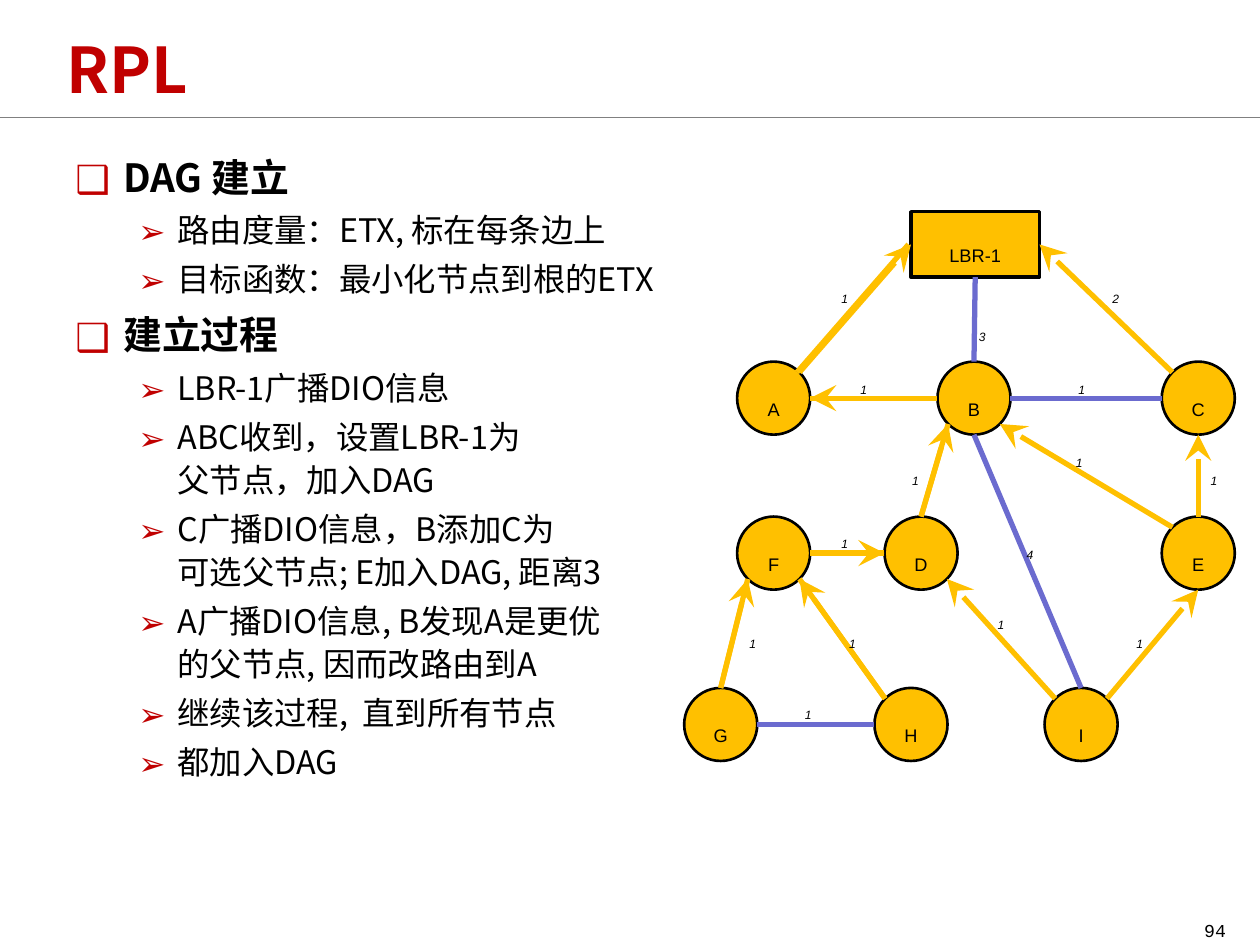
from dataclasses import dataclass

from lxml import etree
from pptx import Presentation
from pptx.dml.color import RGBColor
from pptx.enum import shapes, text
from pptx.oxml import ns
from pptx.util import Inches, Pt


@dataclass(frozen=True)
class Theme:
    red: str = "C00000"
    black: str = "000000"
    amber: str = "FFC000"
    violet: str = "6B6BCF"
    rule: str = "808080"
    sans: str = "Noto Sans CJK SC"
    label: str = "Arial"
    mono: str = "Courier New"
    title: float = 36
    heading: float = 22.2
    item: float = 18.5
    node: float = 18
    weight: float = 12


T = Theme()
RADIUS = 0.29
DIAGONAL = RADIUS * 0.5 ** 0.5
SITES = {"N": (0, -RADIUS), "S": (0, RADIUS), "W": (-RADIUS, 0), "E": (RADIUS, 0),
         "NW": (-DIAGONAL, -DIAGONAL), "NE": (DIAGONAL, -DIAGONAL),
         "SW": (-DIAGONAL, DIAGONAL), "SE": (DIAGONAL, DIAGONAL)}
ROOT = "LBR-1"
ROOT_BOX = (1.8, 0, 1.02, 0.52)
ROOT_SITES = {"W": 1, "S": 2, "E": 3}
NODE_ROWS = [
    (1.48, {"A": 0.71, "B": 2.3, "C": 4.08}),
    (2.71, {"F": 0.71, "D": 1.88, "E": 4.08}),
    (4.07, {"G": 0.29, "H": 1.8, "I": 3.15}),
]
# parent, its side, child, its side, weight, weight position
PLAIN_LINKS = [
    (ROOT, "S", "B", "N", "3", (2.24, 0.77)),
    ("B", "E", "C", "W", "1", (3.03, 1.19)),
    ("B", "S", "I", "N", "4", (2.62, 2.5)),
    ("G", "E", "H", "W", "1", (0.86, 3.77)),
]
ROUTES = [
    (ROOT, "E", "C", "NW", "2", (3.3, 0.47)),
    ("E", "S", "I", "NE", "1", (3.49, 3.21)),
    ("C", "S", "E", "N", "1", (4.08, 1.92)),
    ("B", "SE", "E", "NW", "1", (3.01, 1.77)),
    ("D", "SE", "I", "NW", "1", (2.39, 3.06)),
]
# routes whose shaft runs on through the arrowhead
SOLID_ROUTES = [
    (ROOT, "W", "A", "NE", "1", (1.15, 0.47)),
    ("A", "E", "B", "W", "1", (1.3, 1.19)),
    ("F", "SW", "G", "N", "1", (0.42, 3.21)),
    ("F", "SE", "H", "NW", "1", (1.21, 3.21)),
    ("B", "SW", "D", "N", "1", (1.71, 1.92)),
    ("D", "W", "F", "E", "1", (1.15, 2.42)),
]
OUTLINE = [
    ("DAG 建立", ["路由度量：ETX, 标在每条边上", "目标函数：最小化节点到根的ETX"]),
    ("建立过程", ["LBR-1广播DIO信息",
              "ABC收到，设置LBR-1为\n父节点，加入DAG",
              "C广播DIO信息，B添加C为\n可选父节点; E加入DAG, 距离3",
              "A广播DIO信息, B发现A是更优\n的父节点, 因而改路由到A",
              "继续该过程,  直到所有节点",
              "都加入DAG"]),
]


def rgb(color):
    return RGBColor.from_string(color)


def add_run(p, words, size, face, color=T.black, bold=False, italic=False, sub=False):
    r = p.add_run()
    r.text = words
    f = r.font
    f.size, f.name, f.bold, f.italic = Pt(size), face, bold, italic
    f.color.rgb = rgb(color)
    rPr = r._r.get_or_add_rPr()
    etree.SubElement(rPr, ns.qn("a:ea")).set("typeface", face)
    if sub:
        rPr.set("baseline", "-25000")


def add_textbox(s, box, wrap=True, anchor=text.MSO_ANCHOR.TOP):
    tf = s.shapes.add_textbox(*map(Inches, box)).text_frame
    tf.word_wrap, tf.vertical_anchor = wrap, anchor
    return tf


def add_line(s, start, end, color, width):
    c = s.shapes.add_connector(shapes.MSO_CONNECTOR.STRAIGHT,
                               *map(Inches, (*start, *end)))
    c.line.color.rgb, c.line.width = rgb(color), Pt(width)
    etree.SubElement(c._element.spPr, ns.qn("a:effectLst"))
    return c


def add_header(s, box):
    left, top, width, height = box
    add_line(s, (0, 0.93), (10, 0.93), T.rule, 0.25)
    tf = add_textbox(s, (left, top, width, height), anchor=text.MSO_ANCHOR.MIDDLE)
    add_run(tf.paragraphs[0], "RPL", T.title, T.sans, T.red, bold=True)


def set_bullet(p, char, margin, hang):
    pPr = p._p.get_or_add_pPr()
    pPr.set("marL", str(Inches(margin)))
    pPr.set("indent", str(-Inches(hang)))
    color = etree.SubElement(pPr, ns.qn("a:buClr"))
    etree.SubElement(color, ns.qn("a:srgbClr")).set("val", T.red)
    etree.SubElement(pPr, ns.qn("a:buFont")).set("typeface", T.sans)
    etree.SubElement(pPr, ns.qn("a:buChar")).set("char", char)


def add_outline(s, box):
    tf = add_textbox(s, box)
    rows = [row for heading, items in OUTLINE
            for row in [(heading, 0)] + [(item, 1) for item in items]]
    for i, (words, level) in enumerate(rows):
        p = tf.add_paragraph() if i else tf.paragraphs[0]
        size = T.item if level else T.heading
        p.level = level
        set_bullet(p, *(("➢", 0.81, 0.31) if level else ("❑", 0.38, 0.38)))
        p.line_spacing = 1.1
        p.space_before = Pt(size * 0.2 if i else 0)
        for n, line in enumerate(words.split("\n")):
            if n:
                p.add_line_break()
            add_run(p, line, size, T.sans, bold=not level)


def add_node(s, kind, box, name, border):
    sp = s.shapes.add_shape(kind, *map(Inches, box))
    sp.shadow.inherit = False
    sp.fill.solid()
    sp.fill.fore_color.rgb = rgb(T.amber)
    sp.line.color.rgb, sp.line.width = rgb(T.black), Pt(border)
    tf = sp.text_frame
    tf.word_wrap, tf.vertical_anchor = False, text.MSO_ANCHOR.MIDDLE
    p = tf.paragraphs[0]
    p.alignment = text.PP_ALIGN.CENTER
    add_run(p, name, T.node, T.label, sub=True)
    return sp


def add_graph(s, left, top):
    """Draw the routing graph with its top left corner at the given point."""
    x, y, w, h = ROOT_BOX
    x, y = left + x, top + y
    root = add_node(s, shapes.MSO_SHAPE.RECTANGLE, (x, y, w, h), ROOT, 2)
    root_points = {"W": (x, y + h / 2), "S": (x + w / 2, y + h), "E": (x + w, y + h / 2)}
    centres = {name: (left + cx, top + cy)
               for cy, row in NODE_ROWS for name, cx in row.items()}
    for name, (cx, cy) in centres.items():
        add_node(s, shapes.MSO_SHAPE.OVAL,
                 (cx - RADIUS, cy - RADIUS, 2 * RADIUS, 2 * RADIUS), name, 1.5)

    def point(name, side):
        if name == ROOT:
            return root_points[side]
        (cx, cy), (dx, dy) = centres[name], SITES[side]
        return cx + dx, cy + dy

    for links, color, arrow, solid in ((PLAIN_LINKS, T.violet, False, False),
                                       (ROUTES, T.amber, True, False),
                                       (SOLID_ROUTES, T.amber, True, True)):
        for parent, side, child, child_side, weight, (wx, wy) in links:
            start, end = point(parent, side), point(child, child_side)
            c = add_line(s, start, end, color, 3)
            if parent == ROOT:
                c.begin_connect(root, ROOT_SITES[side])
            if arrow:
                head = etree.SubElement(c.line._get_or_add_ln(), ns.qn("a:headEnd"))
                for key, value in (("type", "stealth"), ("w", "lg"), ("len", "lg")):
                    head.set(key, value)
            if solid:
                shift = 0.02 if parent == ROOT else 0
                add_line(s, (start[0] - shift, start[1]), (end[0] - shift, end[1]), color, 3)
            tf = add_textbox(s, (left + wx, top + wy, 0.3, 0.3), wrap=False)
            add_run(tf.paragraphs[0], weight, T.weight, T.label, italic=True, sub=True)


def add_page_number(s, box):
    tf = add_textbox(s, box, anchor=text.MSO_ANCHOR.MIDDLE)
    p = tf.paragraphs[0]
    p.alignment = text.PP_ALIGN.RIGHT
    add_run(p, "94", T.node, T.mono, sub=True)


def main():
    prs = Presentation()
    prs.slide_width, prs.slide_height = Inches(10), Inches(7.5)
    s = prs.slides.add_slide(prs.slide_layouts[6])
    add_header(s, (0.43, 0.04, 9.01, 1))
    add_outline(s, (0.5, 1.13, 9.08, 5.87))
    add_graph(s, 5.43, 1.68)
    add_page_number(s, (9, 7.17, 0.83, 0.25))
    prs.save("out.pptx")


if __name__ == "__main__":
    main()
